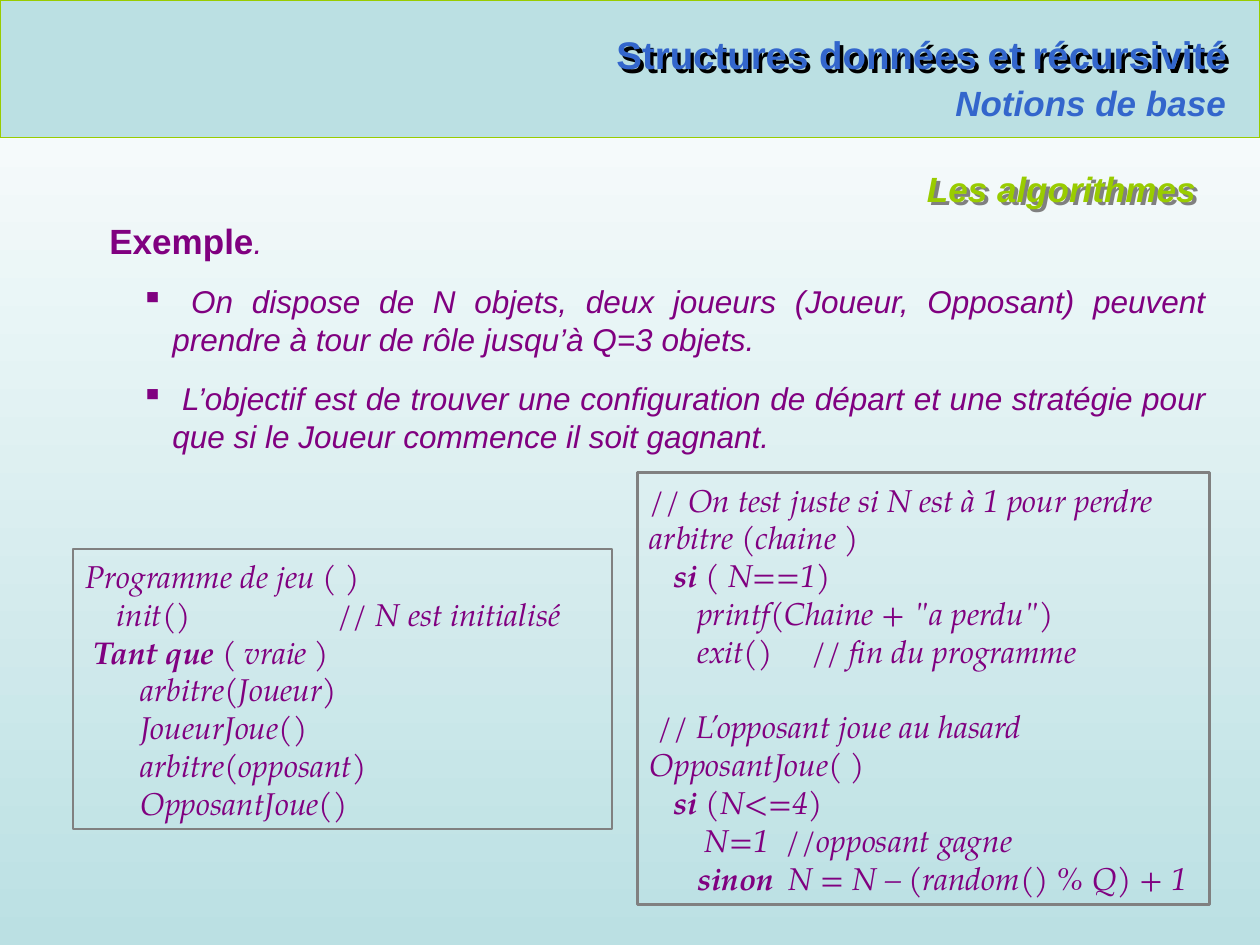
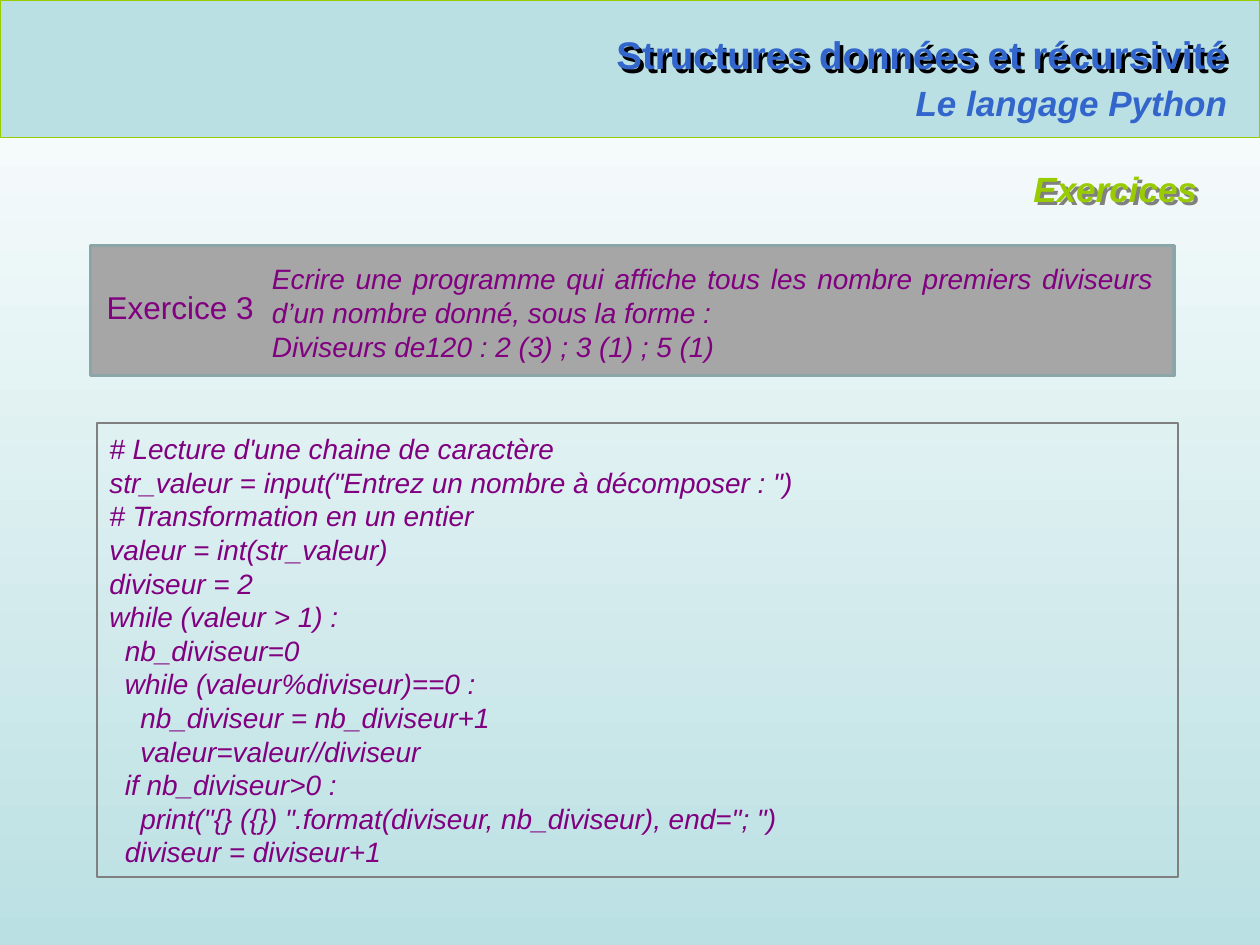
import dataclasses

import lxml.etree
import pptx
import pptx.dml.color
import pptx.enum.shapes
import pptx.enum.text
import pptx.oxml.ns
import pptx.util

Inches = pptx.util.Inches
Pt = pptx.util.Pt
ALIGN = pptx.enum.text.PP_ALIGN
ANCHOR = pptx.enum.text.MSO_ANCHOR


@dataclasses.dataclass(frozen=True)
class Theme:
    sans: str = "Arial"
    code: str = "TeX Gyre Pagella"
    white: str = "FFFFFF"
    black: str = "000000"
    pale: str = "BBE0E3"
    green: str = "99CC00"
    blue: str = "3366CC"
    purple: str = "800080"
    gray: str = "808080"
    card: str = "A6A6A6"
    card_line: str = "8AA6A8"
    title: float = 22
    heading: float = 20
    body: float = 18
    small: float = 16


T = Theme()

GAME_CODE = [
    "Programme de jeu ( )",
    ("    init()\t// N est initialisé", 2),
    " **Tant que **( vraie )",
    "       arbitre(Joueur)",
    "       JoueurJoue()",
    "       arbitre(opposant)",
    "       OpposantJoue()",
]
REFEREE_CODE = [
    "// On test juste si N est à 1 pour perdre",
    "arbitre (chaine )",
    "   **si** ( N==1)",
    '      printf(Chaine + "a perdu")',
    ("      exit()\t// fin du programme", 1.28),
]
OPPONENT_CODE = [
    " // L’opposant joue au hasard",
    "OpposantJoue( )",
    "   **si **(N<=4)",
    ("       N=1\t//opposant gagne", 1.08),
    ("      **sinon**\tN = N – (random() % Q) + 1", 1.1),
]
DIVISOR_CODE = [
    "# Lecture d'une chaine de caractère",
    'str_valeur = input("Entrez un nombre à décomposer : ")',
    "# Transformation en un entier",
    "valeur = int(str_valeur)",
    "diviseur = 2",
    "while (valeur > 1) :",
    "  nb_diviseur=0",
    "  while (valeur%diviseur)==0 :",
    "    nb_diviseur = nb_diviseur+1",
    "    valeur=valeur//diviseur",
    "  if nb_diviseur>0 :",
    '    print("{} ({}) ".format(diviseur, nb_diviseur), end="; ")',
    "  diviseur = diviseur+1",
]


def rgb(value):
    return pptx.dml.color.RGBColor.from_string(value)


def child(parent, tag, **attributes):
    return lxml.etree.SubElement(parent, pptx.oxml.ns.qn(tag), attributes)


def write(p, text, size=T.body, color=T.purple, font=T.sans, bold=False, italic=False):
    r = p.add_run()
    r.text = text
    r.font.name, r.font.size = font, Pt(size)
    r.font.bold, r.font.italic = bold, italic
    r.font.color.rgb = rgb(color)


def next_paragraph(tf, align=ALIGN.LEFT):
    p = tf.paragraphs[0] if not tf.paragraphs[0].runs else tf.add_paragraph()
    p.alignment = align
    return p


def add_text_box(s, box, wrap=True):
    tf = s.shapes.add_textbox(*map(Inches, box)).text_frame
    tf.word_wrap = wrap
    return tf


def add_rect(s, box, line, width, fill=None):
    sp = s.shapes.add_shape(pptx.enum.shapes.MSO_SHAPE.RECTANGLE, *map(Inches, box))
    sp.shadow.inherit = False
    if fill:
        sp.fill.solid()
        sp.fill.fore_color.rgb = rgb(fill)
    else:
        sp.fill.background()
    sp.line.color.rgb = rgb(line)
    sp.line.width = Pt(width)
    return sp


def cast_shadow(sp, color):
    effects = child(sp._element.spPr, "a:effectLst")
    shadow = child(effects, "a:outerShdw", dist="35921", dir="2700000", algn="ctr")
    child(shadow, "a:srgbClr", val=color)


def add_header(s, subtitle, subtitle_box):
    band = add_rect(s, (0, 0, 10, 1.09), T.green, 0.75, T.pale)
    title = s.shapes.title
    title._element.addprevious(band._element)
    title.left, title.top, title.width, title.height = map(Inches, (4.73, 0.2, 5.11, 0.47))
    tf = title.text_frame
    tf.word_wrap = False
    tf.auto_size = pptx.enum.text.MSO_AUTO_SIZE.NONE
    tf.vertical_anchor = ANCHOR.TOP
    write(next_paragraph(tf, ALIGN.RIGHT), "Structures données et récursivité",
          size=T.title, color=T.blue, bold=True)
    cast_shadow(title, T.black)
    tf = add_text_box(s, subtitle_box, wrap=False)
    write(next_paragraph(tf, ALIGN.RIGHT), subtitle,
          size=T.heading, color=T.blue, bold=True, italic=True)
    rule = s.shapes.add_connector(pptx.enum.shapes.MSO_CONNECTOR.STRAIGHT,
                                  *map(Inches, (0.34, 1.09, 9.76, 1.09)))
    rule.line.color.rgb = rgb(T.green)
    rule.line.width = Pt(0.75)
    child(rule._element.spPr, "a:effectLst")


def add_section(s, text, box):
    sp = s.shapes.add_textbox(*map(Inches, box))
    sp.text_frame.word_wrap = True
    write(next_paragraph(sp.text_frame, ALIGN.RIGHT), text,
          size=T.heading, color=T.green, bold=True, italic=True)
    cast_shadow(sp, T.gray)


def add_example(s, box, items):
    tf = add_text_box(s, box)
    p = next_paragraph(tf, ALIGN.JUSTIFY)
    p.space_after = Pt(12)
    write(p, "Exemple", size=T.heading, bold=True)
    write(p, ".", italic=True)
    for item in items:
        p = next_paragraph(tf, ALIGN.JUSTIFY)
        p.space_after = Pt(12)
        properties = p._p.get_or_add_pPr()
        properties.set("marL", str(Inches(0.5)))
        properties.set("indent", str(Inches(-0.25)))
        child(properties, "a:buChar", char="▪")
        write(p, item, italic=True)


def add_code(s, box, *blocks, font=T.code, size=T.body):
    tf = add_rect(s, box, T.gray, 1.25).text_frame
    tf.word_wrap = True
    tf.vertical_anchor = ANCHOR.MIDDLE
    for b, block in enumerate(blocks):
        for n, line in enumerate(block):
            text, tab = line if isinstance(line, tuple) else (line, None)
            p = next_paragraph(tf)
            if b and not n:
                p.space_before = Pt(size * 1.2)
            if tab:
                stops = child(p._p.get_or_add_pPr(), "a:tabLst")
                child(stops, "a:tab", pos=str(Inches(tab)), algn="l")
            for i, part in enumerate(text.split("**")):
                if part:
                    write(p, part, size=size, font=font, bold=i % 2 == 1, italic=True)


def add_exercise(s, box, label, lines):
    left, top, width, height = box
    add_rect(s, box, T.card_line, 2, T.card)
    tf = add_text_box(s, (left + 0.02, top + 0.29, 1.38, 0.4), wrap=False)
    write(next_paragraph(tf, ALIGN.CENTER), label)
    tf = add_text_box(s, (left + 1.34, top + 0.08, width - 1.41, height - 0.12))
    for line in lines:
        write(next_paragraph(tf, ALIGN.JUSTIFY), line, size=T.small, italic=True)


def new_slide(prs):
    return prs.slides.add_slide(prs.slide_layouts.get_by_name("Title Only"))


def build_algorithms(prs):
    s = new_slide(prs)
    add_header(s, "Notions de base", (7.46, 0.6, 2.37, 0.44))
    add_section(s, "Les algorithmes", (5.39, 1.28, 4.2, 0.43))
    add_example(s, (0.77, 1.69, 8.9, 1.99), [
        " On dispose de N objets, deux joueurs (Joueur, Opposant) peuvent prendre "
        "à tour de rôle jusqu’à Q=3 objets.",
        " L’objectif est de trouver une configuration de départ et une stratégie pour "
        "que si le Joueur commence il soit gagnant.",
    ])
    add_code(s, (0.58, 4.36, 4.28, 2.22), GAME_CODE)
    add_code(s, (5.06, 3.75, 4.54, 3.43), REFEREE_CODE, OPPONENT_CODE)


def build_exercise(prs):
    s = new_slide(prs)
    add_header(s, "Le langage Python", (7.14, 0.6, 2.7, 0.44))
    add_section(s, "Exercices", (4.2, 1.28, 5.4, 0.44))
    add_exercise(s, (0.72, 1.95, 8.6, 1.03), "Exercice 3", [
        "Ecrire une programme qui affiche tous les nombre premiers diviseurs "
        "d’un nombre donné, sous la forme :",
        "Diviseurs de120 : 2 (3) ; 3 (1) ; 5 (1)",
    ])
    add_code(s, (0.77, 3.36, 8.58, 3.6), DIVISOR_CODE, font=T.sans, size=T.small)


def main():
    prs = pptx.Presentation()
    prs.slide_width, prs.slide_height = Inches(10), Inches(7.5)
    fill = prs.slide_master.background.fill
    fill.gradient()
    fill.gradient_angle = 270
    for stop, color in zip(fill.gradient_stops, (T.white, T.pale)):
        stop.color.rgb = rgb(color)
    build_algorithms(prs)
    build_exercise(prs)
    prs.save("out.pptx")


if __name__ == "__main__":
    main()
